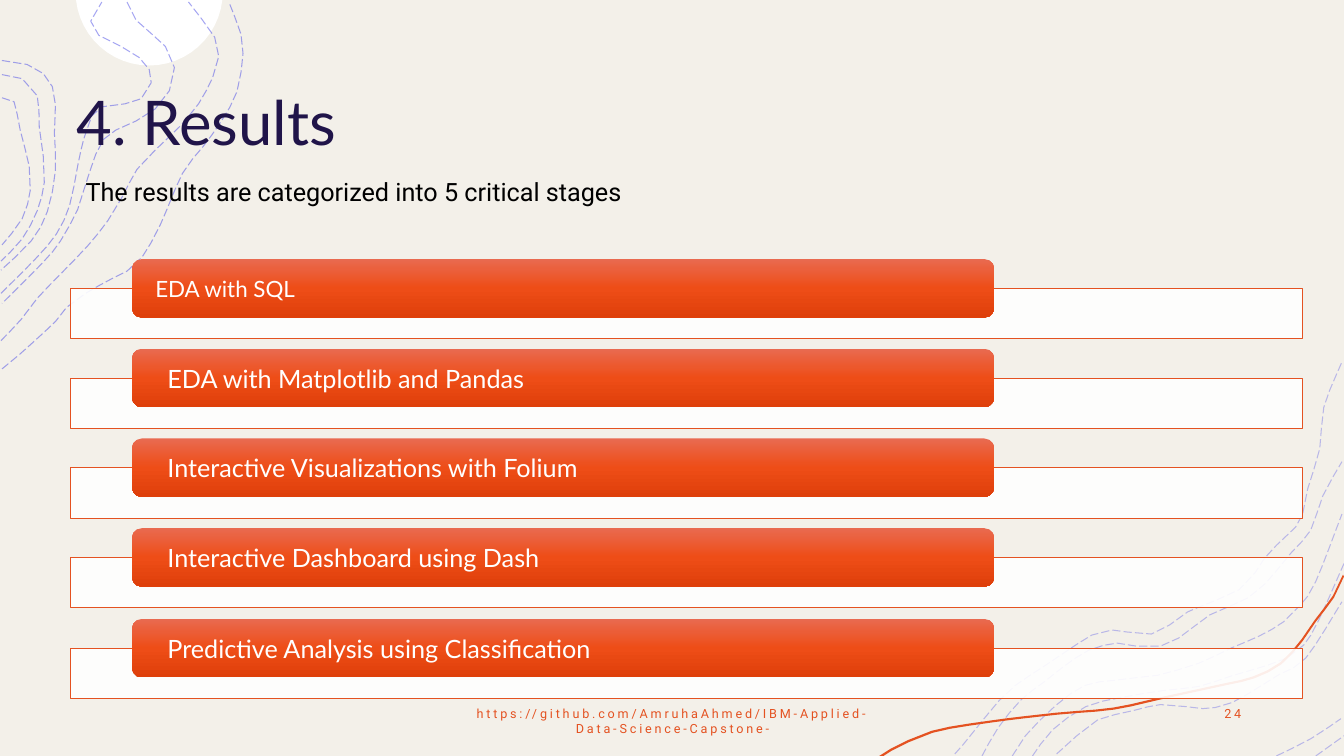
from copy import deepcopy
from math import asin, cos, dist, pi, sin

from lxml.etree import SubElement
from pptx import Presentation
from pptx.dml.color import RGBColor
from pptx.enum.dml import MSO_LINE
from pptx.enum.shapes import MSO_SHAPE as Shape
from pptx.enum.text import MSO_ANCHOR as Anchor, PP_ALIGN as Align
from pptx.oxml.ns import qn
from pptx.util import Emu, Pt

COLORS = {
    "paper": "F3F0E9", "white": "FFFFFF", "navy": "201449", "black": "000000",
    "orange": "E45221", "contour": "4D4EE6",
    "top": "E96A50", "middle": "EE4D17", "bottom": "DE3F0A",
}
WIDTH, HEIGHT = 1333, 750

LEFT_CONTOURS = [
    [(2, 366), (19, 352), (55, 319), (66, 305), (85, 291), (110, 277), (126, 269),
     (141, 255), (159, 223), (181, 172), (201, 146), (219, 121),
     (235, 91), (241, 53), (239, 34), (227, 2)],
    [(1, 338), (21, 317), (37, 296), (63, 269), (87, 244),
     (107, 219), (121, 196), (136, 168), (154, 149),
     (182, 122), (197, 103), (211, 77), (217, 56), (213, 37), (187, 2)],
    [(126, 2), (135, 20), (164, 46), (173, 67), (168, 90), (154, 108),
     (135, 120), (115, 129), (103, 138), (95, 153), (83, 189),
     (77, 208), (60, 239), (42, 261), (2, 301)],
    [(1, 291), (35, 257), (56, 232), (69, 204), (77, 165), (83, 138), (91, 115),
     (101, 106), (124, 103), (140, 98), (150, 82), (148, 69), (138, 57),
     (120, 46), (98, 35), (90, 21), (101, 2)],
    [(2, 60), (27, 64), (43, 73), (52, 86), (55, 104), (54, 132), (55, 169),
     (47, 210), (31, 239), (1, 268)],
    [(2, 74), (22, 78), (37, 95), (39, 126), (43, 155), (44, 181), (37, 209),
     (22, 237), (1, 259)],
    [(2, 97), (14, 101), (17, 113), (20, 129), (29, 165), (30, 189),
     (22, 217), (2, 243)],
]
RIGHT_CONTOURS = [
    [(947, 748), (955, 739), (976, 713), (991, 695), (1007, 680), (1037, 660),
     (1083, 630), (1103, 625), (1118, 627), (1142, 629),
     (1160, 620), (1178, 607), (1205, 596), (1229, 585),
     (1245, 568), (1254, 554), (1266, 541), (1285, 523),
     (1292, 510), (1297, 485), (1309, 445), (1313, 404), (1331, 359)],
    [(974, 750), (990, 722), (1013, 694), (1035, 677), (1054, 662), (1080, 645),
     (1108, 638), (1127, 641), (1151, 641), (1169, 633),
     (1200, 610), (1223, 600), (1238, 593), (1255, 579),
     (1281, 548), (1300, 526), (1312, 492), (1331, 458)],
    [(1305, 750), (1333, 730)],
    [(1266, 750), (1300, 733), (1330, 713)],
    [(1048, 748), (1068, 730), (1089, 714), (1124, 705), (1151, 699), (1176, 701),
     (1193, 703), (1222, 697), (1269, 669), (1295, 653), (1331, 597)],
    [(1024, 750), (1044, 724), (1077, 701), (1112, 692), (1154, 685), (1189, 681),
     (1220, 671), (1257, 660), (1276, 653), (1293, 640), (1308, 615), (1333, 559)],
    [(1004, 750), (1017, 730), (1047, 700), (1076, 680), (1105, 675), (1130, 672),
     (1148, 670), (1189, 658), (1221, 643), (1249, 631), (1273, 617), (1290, 600),
     (1305, 577), (1331, 510)],
]
RIBBON = [(872, 750), (883, 743), (924, 725), (981, 715), (1048, 707),
          (1104, 702), (1154, 691), (1214, 678),
          (1243, 671), (1270, 657), (1291, 634), (1304, 615), (1322, 591), (1332, 570)]
STAGES = [
    "EDA with SQL", "EDA with Matplotlib and Pandas",
    "Interactive Visualizations with Folium", "Interactive Dashboard using Dash",
    "Predictive Analysis using Classification",
]


def px(length):
    return Emu(round(length * 9144))


def rgb(name):
    return RGBColor.from_string(COLORS[name])


def smooth(points, stride=18):
    """Catmull-Rom curve through the points, with about one corner per stride."""
    padded = [points[0], *points, points[-1]]
    curve = [points[0]]
    for a, b, c, d in zip(padded, padded[1:], padded[2:], padded[3:]):
        steps = max(1, round(dist(b, c) / stride))
        for step in range(1, steps + 1):
            t = step / steps
            curve.append(tuple(
                (2 * q + (r - p) * t + (2 * p - 5 * q + 4 * r - s) * t ** 2
                 + (3 * q - p - 3 * r + s) * t ** 3) / 2
                for p, q, r, s in zip(a, b, c, d)))
    return curve


class Slide:
    def __init__(self, deck):
        self.page = deck.slides.add_slide(deck.slide_layouts[6])
        self.page.background.fill.solid()
        self.page.background.fill.fore_color.rgb = rgb("paper")

    def paint(self, box, fill=None, line=None, width=0.5):
        box.shadow.inherit = False
        if fill:
            box.fill.solid()
            box.fill.fore_color.rgb = rgb(fill)
        else:
            box.fill.background()
        if line:
            box.line.color.rgb = rgb(line)
            box.line.width = Pt(width)
        else:
            box.line.fill.background()
        return box

    def opacity(self, parent, percent):
        color = parent.find(qn("a:solidFill"))[0]
        SubElement(color, qn("a:alpha"), val=str(percent * 1000))

    def outline(self, points, closed):
        corners = [(px(x), px(y)) for x, y in points]
        builder = self.page.shapes.build_freeform(*corners[0])
        builder.add_line_segments(corners[1:], close=closed)
        return builder.convert_to_shape()

    def area(self, points, fill):
        return self.paint(self.outline(points, True), fill)

    def contour(self, points, percent):
        curve = self.paint(self.outline(smooth(points), False), None, "contour", 0.75)
        curve.line.dash_style = MSO_LINE.LONG_DASH
        self.opacity(curve._element.spPr.find(qn("a:ln")), percent)

    def shape(self, kind, place, fill, line=None):
        box = self.page.shapes.add_shape(kind, *map(px, place))
        return self.paint(box, fill, line)

    def panel(self, place):
        box = self.shape(Shape.RECTANGLE, place, "white", "orange")
        self.opacity(box._element.spPr, 90)

    def banner(self, place):
        box = self.shape(Shape.ROUNDED_RECTANGLE, place, None)
        box.fill.gradient()
        box.fill.gradient_angle = 270
        stops = box._element.spPr.find(qn("a:gradFill")).find(qn("a:gsLst"))
        stops.insert(1, deepcopy(stops[0]))
        for index, name in enumerate(("top", "middle", "bottom")):
            stop = box.fill.gradient_stops[index]
            stop.color.rgb = rgb(name)
            stop.position = index / 2

    def text(self, place, words, size, color, font="Roboto", align=Align.LEFT,
             anchor=Anchor.TOP, inset=(10, 5), spacing=0):
        frame = self.page.shapes.add_textbox(*map(px, place)).text_frame
        frame.word_wrap = True
        frame.vertical_anchor = anchor
        frame.margin_left = frame.margin_right = px(inset[0])
        frame.margin_top = frame.margin_bottom = px(inset[1])
        frame.text = words
        para = frame.paragraphs[0]
        para.alignment = align
        span = para.runs[0]
        span.font.name, span.font.size = font, Pt(size)
        span.font.color.rgb = rgb(color)
        if spacing:
            span._r.get_or_add_rPr().set("spc", str(spacing * 100))


def main():
    deck = Presentation()
    deck.slide_width, deck.slide_height = px(WIDTH), px(HEIGHT)
    slide = Slide(deck)

    # Disc cut off by the top edge
    radius, center_x, center_y = 73, 148, -8
    start = asin(-center_y / radius)
    angles = [start + (pi - 2 * start) * step / 24 for step in range(25)]
    slide.area([(center_x + radius * cos(a), center_y + radius * sin(a))
                for a in angles], "white")

    # Contour lines and ribbon
    for contours, percent in ((LEFT_CONTOURS, 50), (RIGHT_CONTOURS, 35)):
        for points in contours:
            slide.contour(points, percent)
    upper = smooth(RIBBON)
    slide.area(upper + [(x + 1, y + 2) for x, y in reversed(upper)], "orange")

    # Title and page number
    slide.text((66, 38, 1092, 164), "4. Results", 44, "navy", "Lato", anchor=Anchor.MIDDLE)
    slide.text((1083, 695, 158, 40), "24", 9, "orange", align=Align.RIGHT, spacing=2)

    # Stages
    for row, stage in enumerate(STAGES):
        top = 257 + row * 357 // 4
        size, indent = (18, 32) if row else (16, 20)
        slide.panel((70, top + 29, 1222, 50))
        slide.banner((131, top, 855, 58))
        slide.text((134, top + 3, 849, 52), stage, size, "white", "Lato",
                   anchor=Anchor.MIDDLE, inset=(indent, 0))

    # Subtitle and footer
    slide.text((75, 170, 1207, 40), "The results are categorized into 5 critical stages",
               18, "black")
    slide.text((442, 695, 450, 40),
               "https://github.com/AmruhaAhmed/IBM-Applied-Data-Science-Capstone-",
               9, "orange", align=Align.CENTER, spacing=2)

    deck.save("out.pptx")


if __name__ == "__main__":
    main()
